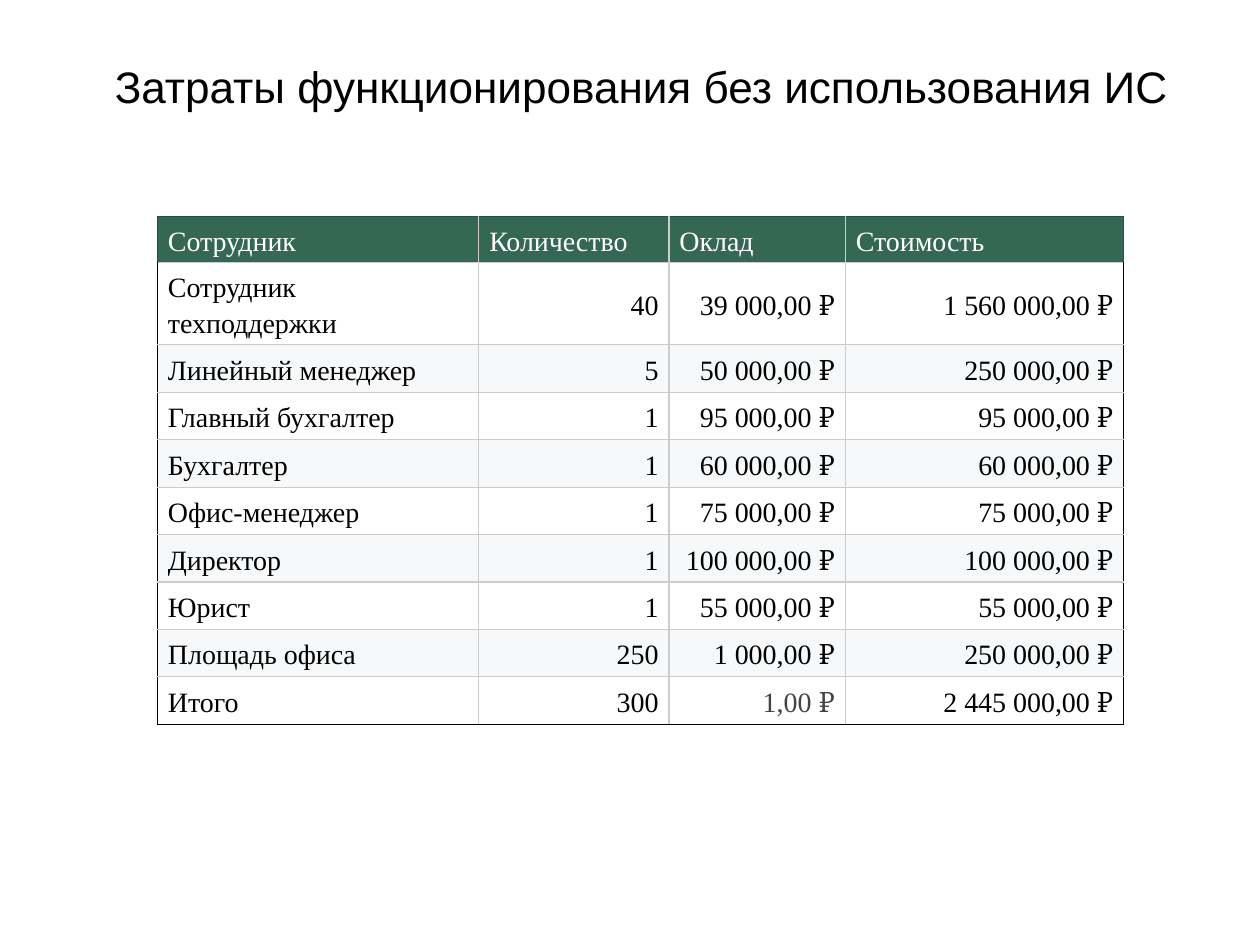
from typing import NamedTuple

from lxml.etree import SubElement
from pptx import Presentation
from pptx.dml.color import RGBColor as Rgb
from pptx.enum.text import MSO_ANCHOR as Anchor, PP_ALIGN as Align
from pptx.oxml.ns import qn
from pptx.util import Pt

HUES = {
    "black": "000000", "white": "FFFFFF", "grey": "434343", "band": "F6F8F9",
    "head": "356854", "edge": "284E3F", "grid": "CCCCCC",
}


class Cost(NamedTuple):
    staff: str
    count: str
    wage: str
    total: str


HEAD = Cost("Сотрудник", "Количество", "Оклад", "Стоимость")
COSTS = [
    Cost("Сотрудник техподдержки", "40", "39 000,00 ₽", "1 560 000,00 ₽"),
    Cost("Линейный менеджер", "5", "50 000,00 ₽", "250 000,00 ₽"),
    Cost("Главный бухгалтер", "1", "95 000,00 ₽", "95 000,00 ₽"),
    Cost("Бухгалтер", "1", "60 000,00 ₽", "60 000,00 ₽"),
    Cost("Офис-менеджер", "1", "75 000,00 ₽", "75 000,00 ₽"),
    Cost("Директор", "1", "100 000,00 ₽", "100 000,00 ₽"),
    Cost("Юрист", "1", "55 000,00 ₽", "55 000,00 ₽"),
    Cost("Площадь офиса", "250", "1 000,00 ₽", "250 000,00 ₽"),
    Cost("Итого", "300", "1,00 ₽", "2 445 000,00 ₽"),
]
ROWS = [HEAD, *COSTS]
WIDTHS = [183.6, 108.7, 100.8, 159.1]
HEIGHTS = [23, 41] + [27.1] * (len(COSTS) - 1)


def style(par, font: str, size: float, hue: str) -> None:
    for run in par.runs:
        run.font.name = font
        run.font.size = Pt(size)
        run.font.color.rgb = Rgb.from_string(HUES[hue])


def add_title(slide, text: str) -> None:
    title = slide.shapes.title
    title.left, title.top = Pt(31), Pt(26.6)
    title.width, title.height = Pt(671), Pt(59.8)
    frame = title.text_frame
    frame.text = text
    frame.word_wrap = True
    frame.vertical_anchor = Anchor.TOP
    frame.margin_left = frame.margin_right = Pt(7.2)
    frame.margin_top = frame.margin_bottom = Pt(7.2)
    par = frame.paragraphs[0]
    par.alignment = Align.CENTER
    style(par, "Arial", 25.2, "black")


def set_edges(cell, hues: dict[str, str]) -> None:
    """Draw the cell borders; lines must precede the fill in the XML."""
    props = cell._tc.get_or_add_tcPr()
    for side, hue in hues.items():
        line = SubElement(props, qn(f"a:ln{side}"), w=str(Pt(0.75)))
        fill = SubElement(line, qn("a:solidFill"))
        SubElement(fill, qn("a:srgbClr"), val=HUES[hue])


def fill_cell(cell, text: str, row: int, col: int) -> None:
    head, last = row == 0, row == len(ROWS) - 1
    rim = "edge" if head else "black"
    set_edges(cell, {
        "L": rim if col == 0 else "grid",
        "R": rim if col == len(WIDTHS) - 1 else "grid",
        "T": rim if head else "grid",
        "B": rim if last else "grid",
    })
    cell.fill.solid()
    back = "head" if head else "white" if row % 2 else "band"
    cell.fill.fore_color.rgb = Rgb.from_string(HUES[back])
    cell.vertical_anchor = Anchor.MIDDLE
    cell.margin_left = cell.margin_right = Pt(6)
    cell.margin_top = cell.margin_bottom = Pt(3)
    cell.text_frame.text = text
    par = cell.text_frame.paragraphs[0]
    par.line_spacing = 1.15
    par.alignment = Align.LEFT if head or col == 0 else Align.RIGHT
    ink = "white" if head else "grey" if last and col == 2 else "black"
    style(par, "Times New Roman", 16, ink)


def add_costs(slide) -> None:
    table = slide.shapes.add_table(
        len(ROWS), len(WIDTHS), Pt(90), Pt(123.8),
        Pt(sum(WIDTHS)), Pt(sum(HEIGHTS))).table
    table.first_row = table.horz_banding = False
    for col, width in zip(table.columns, WIDTHS):
        col.width = Pt(width)
    for row, height in zip(table.rows, HEIGHTS):
        row.height = Pt(height)
    for r, cost in enumerate(ROWS):
        for c, text in enumerate(cost):
            fill_cell(table.cell(r, c), text, r, c)


def main() -> None:
    deck = Presentation()
    deck.slide_width, deck.slide_height = Pt(720), Pt(540)
    slide = deck.slides.add_slide(deck.slide_layouts[5])
    add_title(slide, "Затраты функционирования без использования ИС")
    add_costs(slide)
    deck.save("out.pptx")


if __name__ == "__main__":
    main()
